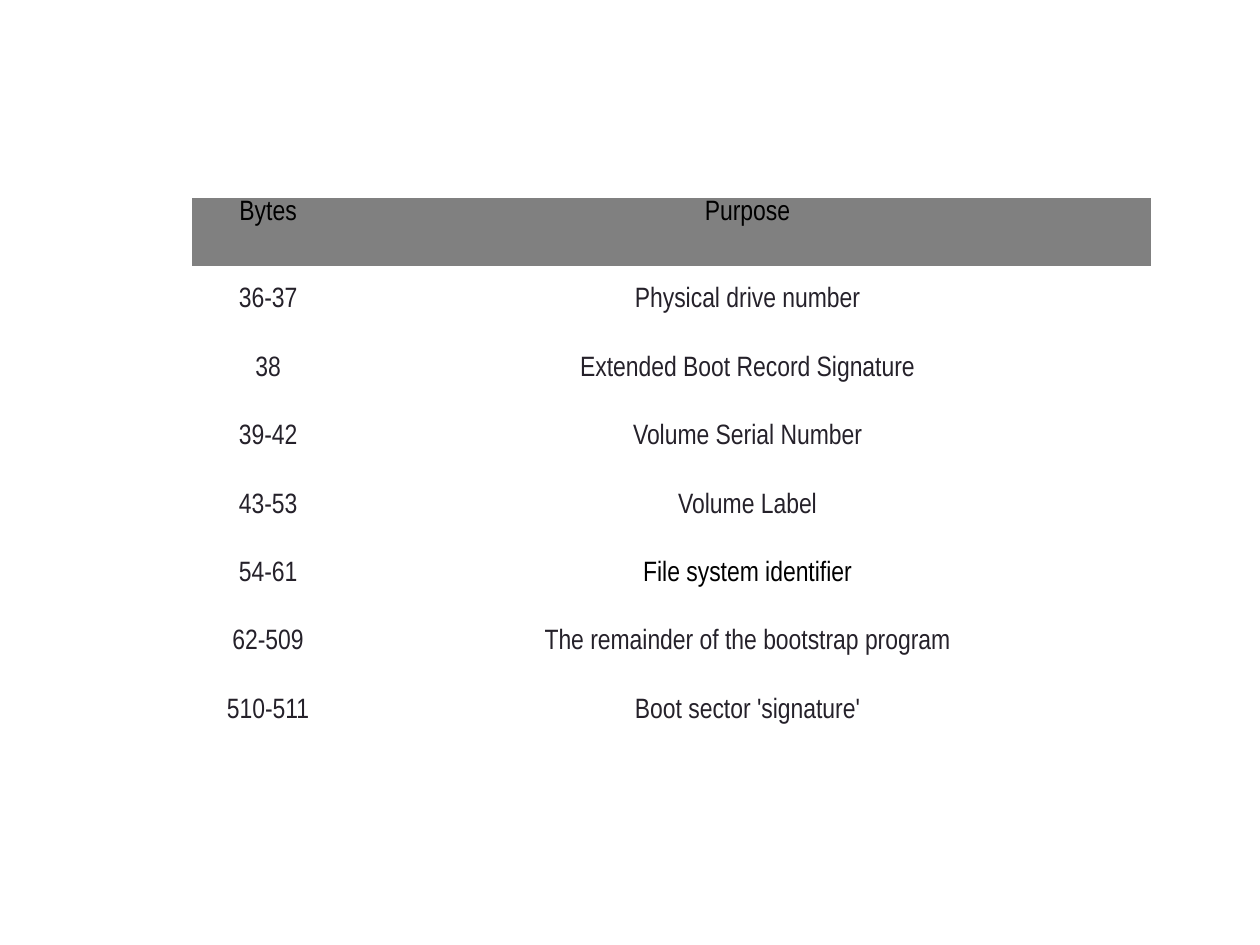
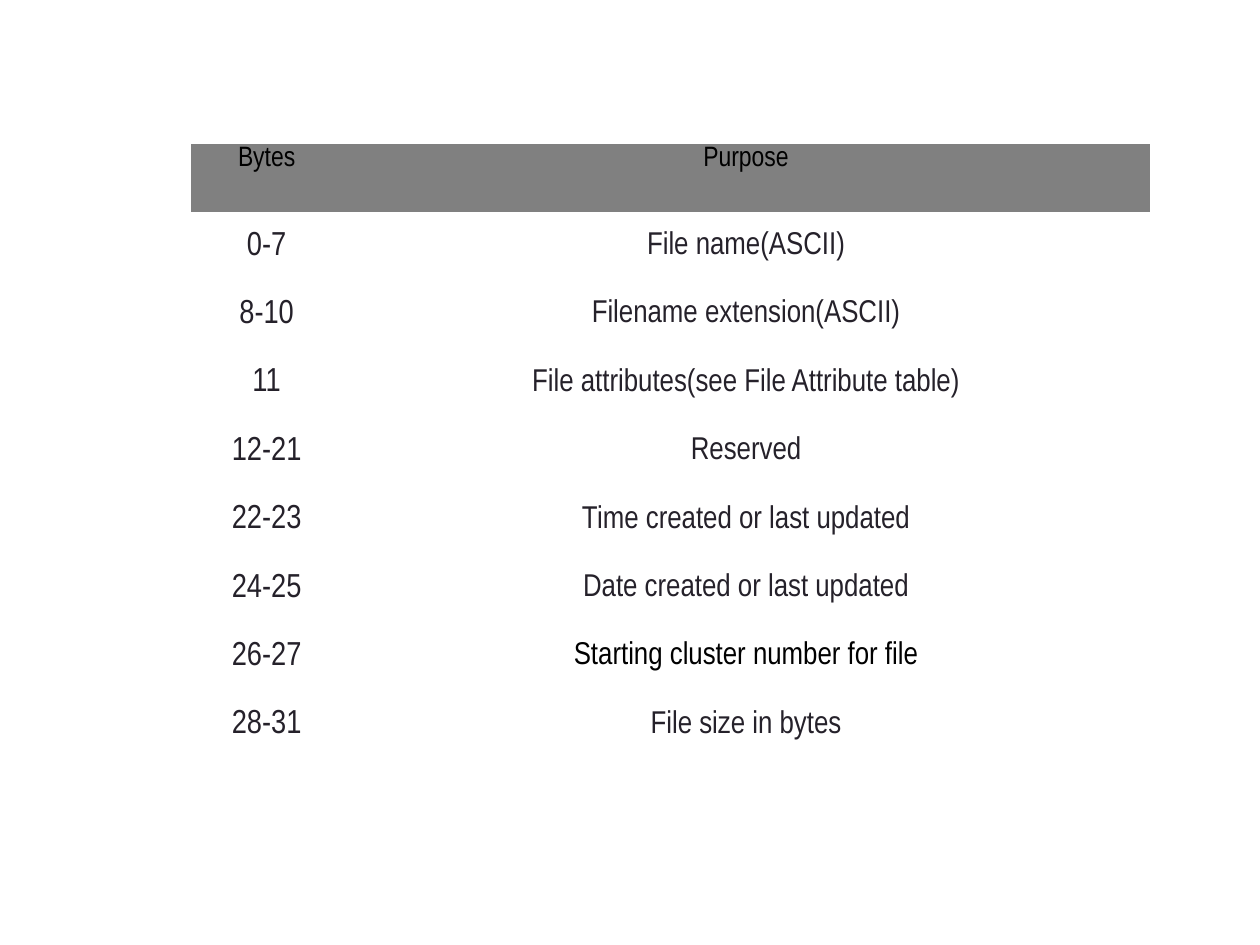
from pptx import Presentation
from pptx.dml.color import RGBColor
from pptx.enum.text import MSO_ANCHOR as Anchor, PP_ALIGN as Align
from pptx.oxml.ns import qn
from pptx.util import Cm, Pt

# Shared look
FONT = "Arial Narrow"
BLACK, INK, GREY = "000000", "25212A", "808080"
HEADER = ("Bytes", "Purpose")
HEADER_SIZE = 16
COLUMN_WIDTHS = (3.05, 16.28)
ROW_HEIGHT = 1.38
PLAIN_STYLE = "{2D5ABB26-0587-4C30-8999-92F81FD0307C}"  # no style, no grid


def color(value):
    return RGBColor.from_string(value)


def fill_cell(cell, text, size, ink, margins):
    side, edge = margins
    cell.margin_left = cell.margin_right = Cm(side)
    cell.margin_top = cell.margin_bottom = Cm(edge)
    para = cell.text_frame.paragraphs[0]
    para.text = text
    para.alignment = Align.CENTER
    para.font.name = FONT
    para.font.size = Pt(size)
    para.font.color.rgb = color(ink)


# Each layout: left, top, sizes of the two columns, key purpose, rows
boot_record = (3.88, 3.99, (16, 16), "File system identifier", [
    ("36-37", "Physical drive number"),
    ("38", "Extended Boot Record Signature"),
    ("39-42", "Volume Serial Number"),
    ("43-53", "Volume Label"),
    ("54-61", "File system identifier"),
    ("62-509", "The remainder of the bootstrap program"),
    ("510-511", "Boot sector 'signature'"),
])
directory_entry = (3.85, 2.9, (19, 18), "Starting cluster number for file", [
    ("0-7", "File name(ASCII)"),
    ("8-10", "Filename extension(ASCII)"),
    ("11", "File attributes(see File Attribute table)"),
    ("12-21", "Reserved"),
    ("22-23", "Time created or last updated"),
    ("24-25", "Date created or last updated"),
    ("26-27", "Starting cluster number for file"),
    ("28-31", "File size in bytes"),
])

deck = Presentation()
deck.slide_width, deck.slide_height = Cm(25.4), Cm(19.05)

for left, top, sizes, key_purpose, rows in (boot_record, directory_entry):
    page = deck.slides.add_slide(deck.slide_layouts[6])

    # Table grid
    row_count = len(rows) + 1
    table = page.shapes.add_table(
        row_count, len(HEADER), Cm(left), Cm(top),
        Cm(sum(COLUMN_WIDTHS)), Cm(ROW_HEIGHT * row_count)).table
    table._tbl.tblPr.find(qn("a:tableStyleId")).text = PLAIN_STYLE
    table.horz_banding = False
    for column, width in zip(table.columns, COLUMN_WIDTHS):
        column.width = Cm(width)
    for row in table.rows:
        row.height = Cm(ROW_HEIGHT)

    # Header band
    for cell, text in zip(table.rows[0].cells, HEADER):
        fill_cell(cell, text, HEADER_SIZE, BLACK, (0.05, 0.05))
        cell.fill.solid()
        cell.fill.fore_color.rgb = color(GREY)

    # Byte ranges and their purposes, with the key purpose in black
    for number, values in enumerate(rows, start=1):
        for cell, text, size in zip(table.rows[number].cells, values, sizes):
            is_key = text == key_purpose
            fill_cell(cell, text, size, BLACK if is_key else INK,
                      (0.1, 0.1) if is_key else (0.28, 0.13))
            cell.vertical_anchor = Anchor.MIDDLE
            cell.fill.background()

deck.save("out.pptx")
